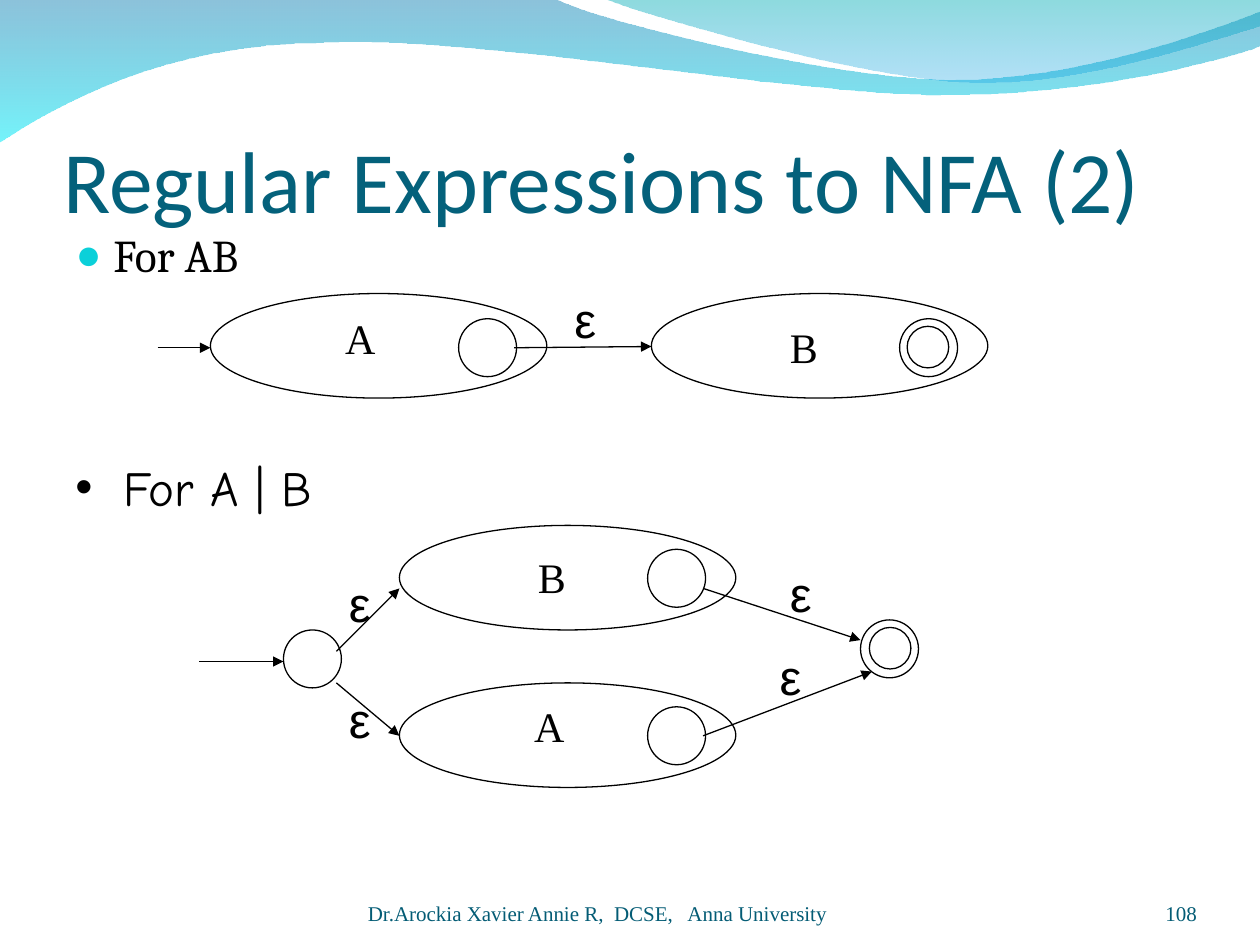
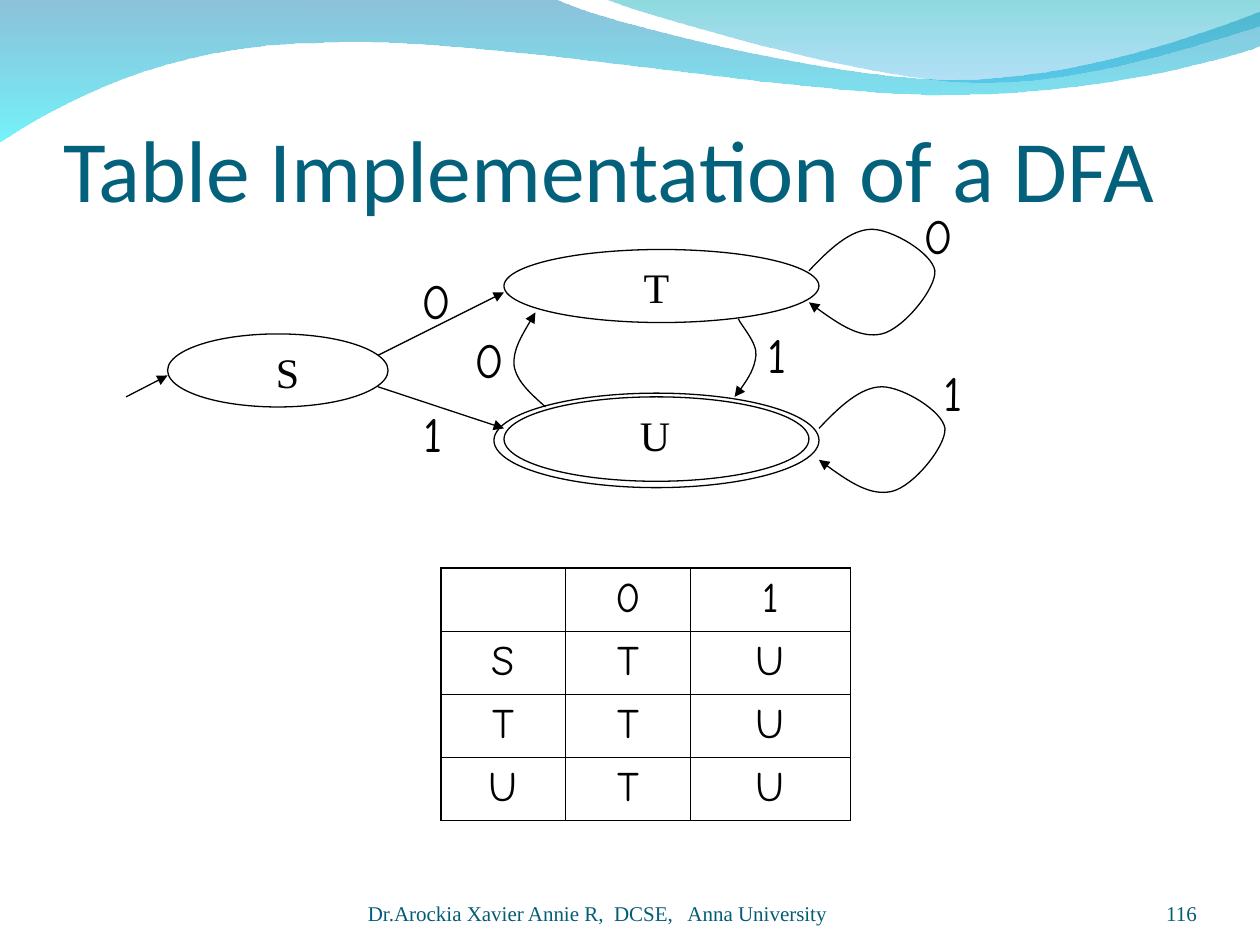
from lxml import etree
from pptx import Presentation
from pptx.dml.color import RGBColor
from pptx.enum.shapes import MSO_CONNECTOR, MSO_SHAPE
from pptx.enum.text import MSO_ANCHOR, MSO_AUTO_SIZE, PP_ALIGN
from pptx.oxml.ns import qn
from pptx.util import Pt

PX = 9144  # 100 px to the inch
OVAL, STRAIGHT = MSO_SHAPE.OVAL, MSO_CONNECTOR.STRAIGHT
TOP, BOTTOM = MSO_ANCHOR.TOP, MSO_ANCHOR.BOTTOM
LEFT, CENTER, RIGHT = PP_ALIGN.LEFT, PP_ALIGN.CENTER, PP_ALIGN.RIGHT
NO_FIT, GROW = MSO_AUTO_SIZE.NONE, MSO_AUTO_SIZE.SHAPE_TO_FIT_TEXT

BLACK = RGBColor(0x00, 0x00, 0x00)
TITLE_BLUE = RGBColor(0x04, 0x61, 0x7B)
FOOTER_BLUE = RGBColor(0x04, 0x5C, 0x75)
BULLET_CYAN = RGBColor(0x0B, 0xD0, 0xD9)
WAVE_TOP = RGBColor(0x00, 0x79, 0xAF)
WAVE_BOTTOM = RGBColor(0x00, 0xEB, 0xF8)
CREST_TOP = RGBColor(0x00, 0xAD, 0xB6)
CREST_BOTTOM = RGBColor(0x00, 0x9B, 0xE5)

SERIF, HAND = "Times New Roman", "Comic Neue"
FOOTER = "Dr.Arockia Xavier Annie R,  DCSE,   Anna University"

# An outline is a start point, then segments: one point is a line, three a curve.
# Each gradient stop is a colour and its opacity in percent.
WAVES = [
    ((0, -1), [[(440, -1)],
               [(476, 17), (664, 63), (758, 63)],
               [(853, 63), (958, 26), (1000, 9)],
               [(1001, 36)],
               [(983, 44), (870, 76), (746, 75)],
               [(622, 75), (382, 28), (257, 34)],
               [(129, 35), (46, 83), (-1, 113)]],
     [(WAVE_TOP, 45), (WAVE_BOTTOM, 55)]),
    ((479, -1), [[(509, 11), (682, 62), (769, 65)],
                 [(856, 69), (961, 32), (1000, 21)],
                 [(1000, 0)]],
     [(CREST_TOP, 45), (CREST_BOTTOM, 30)]),
]

STATE, FINAL = 46, 33  # diameters of a state circle and its inner ring
MACHINE = (267, 83)
LABEL_HEIGHT = {24: 50, 28: 57}

# Diagrams: ovals (x, y, w, h), labels (text, x, y, w), arrows (x1, y1, x2, y2)
CONCATENATION = {
    "ovals": [(167, 233, *MACHINE), (364, 253, STATE, STATE), (517, 233, *MACHINE),
              (720, 259, FINAL, FINAL), (714, 253, STATE, STATE)],
    "names": [("A", 264, 243, 44), ("B", 617, 250, 42)],
    "inputs": [("ε", 446, 225, 37)],
    "arrows": [(125, 276, 167, 276), (408, 276, 517, 275)],
    "font": "Arial",
}
ALTERNATION = {
    "ovals": [(317, 542, *MACHINE), (514, 561, STATE, STATE), (317, 417, *MACHINE),
              (514, 436, STATE, STATE), (225, 500, STATE, STATE),
              (690, 498, FINAL, FINAL), (683, 492, STATE, STATE)],
    "names": [("A", 414, 551, 44), ("B", 417, 433, 42)],
    "inputs": [("ε", x, y, 37) for x, y in [(609, 508), (267, 450), (267, 542), (617, 442)]],
    "arrows": [(267, 542, 317, 584), (558, 584, 692, 533), (267, 517, 317, 467),
               (158, 525, 225, 525), (558, 467, 683, 508)],
    "font": "Arial",
}
DFA = {
    "ovals": [(133, 265, 175, 58), (400, 198, 250, 58),
              (400, 315, 242, 67), (392, 312, 258, 75)],
    "names": [("S", 209, 270, 38), ("T", 501, 203, 40), ("U", 498, 320, 44)],
    "inputs": [("0", 325, 210, 43), ("1", 326, 315, 35), ("0", 723, 158, 43),
               ("1", 739, 283, 35), ("0", 367, 257, 43), ("1", 599, 253, 35)],
    "arrows": [(100, 315, 133, 298), (300, 282, 400, 232), (300, 307, 400, 340)],
    "font": HAND,
}
LOOP = [[(16, -17), (33, -33), (50, -33)],
        [(66, -33), (98, -14), (100, 0)],
        [(101, 14), (75, 46), (58, 50)],
        [(41, 54), (20, 40), (0, 25)]]
LOOP_STARTS = [(642, 215), (650, 340)]
U_TO_T = ((433, 323), [[(422, 313), (410, 303), (408, 290)],
                       [(407, 278), (416, 263), (425, 248)]])
T_TO_U = ((586, 253), [[(588, 258), (601, 272), (600, 282)],
                       [(599, 292), (592, 304), (583, 315)]])

TRANSITIONS = [["", "0", "1"],
               ["S", "T", "U"],
               ["T", "T", "U"],
               ["U", "T", "U"]]
COLUMN_WIDTHS, ROW_HEIGHT = [99, 99, 127], 50
TABLE_AT = (350, 451)


def place(sp, x, y, w, h):
    sp.left, sp.top, sp.width, sp.height = (v * PX for v in (x, y, w, h))


def write(tf, text, size, font, color=BLACK, align=LEFT, anchor=TOP,
          insets=(10, 5, 10, 5), wrap=True, fit=NO_FIT, bullet=None):
    tf.word_wrap, tf.auto_size, tf.vertical_anchor = wrap, fit, anchor
    tf.margin_left, tf.margin_top, tf.margin_right, tf.margin_bottom = (v * PX for v in insets)
    format_text(tf.paragraphs[0], text, size, font, color, align, bullet)


def format_text(p, text, size, font, color=BLACK, align=LEFT, bullet=None):
    if bullet:
        add_bullet(p, *bullet)
    p.alignment, p.space_before = align, Pt(0)
    r = p.add_run()
    r.text = text
    r.font.size, r.font.name = Pt(size), font
    r.font.color.rgb = color


def add_bullet(p, char, color, percent, indent):
    pPr = p._p.get_or_add_pPr()
    pPr.set("marL", str(indent * PX))
    pPr.set("indent", str(-indent * PX))
    clr = etree.SubElement(pPr, qn("a:buClr"))
    etree.SubElement(clr, qn("a:srgbClr"), val=str(color))
    etree.SubElement(pPr, qn("a:buSzPct"), val=str(percent * 1000))
    etree.SubElement(pPr, qn("a:buFont"), typeface="Arial")
    etree.SubElement(pPr, qn("a:buChar"), char=char)


def add_text(shapes, box, text, size, font, **fmt):
    sp = shapes.add_textbox(*(v * PX for v in box))
    write(sp.text_frame, text, size, font, **fmt)


def draw_line(sp, arrow=False):
    sp.line.color.rgb, sp.line.width = BLACK, Pt(0.75)
    if arrow:
        etree.SubElement(sp.line._get_or_add_ln(), qn("a:tailEnd"), type="triangle")


def add_outline(shapes, start, segments, close=False):
    points = [pt for seg in segments for pt in seg]
    builder = shapes.build_freeform(*start, scale=PX)
    sp = builder.add_line_segments(points, close=close).convert_to_shape()
    sp.shadow.inherit = False
    path = sp.element.find(".//" + qn("a:path"))
    lines = iter(path.findall(qn("a:lnTo")))
    for seg in segments:
        first, *rest = [next(lines) for _ in seg]
        if rest:
            first.tag = qn("a:cubicBezTo")
        for line in rest:
            first.append(line[0])
            path.remove(line)
    return sp


def add_curved_arrow(shapes, start, segments):
    sp = add_outline(shapes, start, segments)
    sp.fill.background()
    draw_line(sp, arrow=True)


def add_waves(prs, slide):
    """Draw the header waves and move them to the master, so every slide has them."""
    for i, (start, segments, stops) in enumerate(WAVES):
        sp = add_outline(slide.shapes, start, segments, close=True)
        sp.line.fill.background()
        sp.fill.gradient()
        sp.fill.gradient_angle = 270
        for stop, (color, opacity) in zip(sp.fill.gradient_stops, stops):
            stop.color.rgb = color
            srgb = stop._gs.find(qn("a:srgbClr"))
            etree.SubElement(srgb, qn("a:alpha"), val=str(opacity * 1000))
        sp.element.nvSpPr.cNvPr.set("id", str(100 + i))
        prs.slide_master.shapes._spTree.insert(2 + i, sp.element)


def add_diagram(shapes, diagram):
    for box in diagram["ovals"]:
        sp = shapes.add_shape(OVAL, *(v * PX for v in box))
        sp.shadow.inherit = False
        sp.fill.background()
        draw_line(sp)
    for ends in diagram["arrows"]:
        cxn = shapes.add_connector(STRAIGHT, *(v * PX for v in ends))
        draw_line(cxn, arrow=True)
        etree.SubElement(cxn.element.spPr, qn("a:effectLst"))
    for key, size, font in [("names", 24, SERIF), ("inputs", 28, diagram["font"])]:
        for text, x, y, w in diagram[key]:
            add_text(shapes, (x, y, w, LABEL_HEIGHT[size]), text, size, font,
                     wrap=False, fit=GROW)


def add_transition_table(shapes):
    rows, cols = len(TRANSITIONS), len(COLUMN_WIDTHS)
    box = (*TABLE_AT, sum(COLUMN_WIDTHS), rows * ROW_HEIGHT)
    table = shapes.add_table(rows, cols, *(v * PX for v in box)).table
    table.first_row = table.horz_banding = False
    for column, width in zip(table.columns, COLUMN_WIDTHS):
        column.width = width * PX
    for i, row in enumerate(TRANSITIONS):
        for j, text in enumerate(row):
            cell = table.cell(i, j)
            cell.fill.background()
            if text:
                format_text(cell.text_frame.paragraphs[0], text, 24, HAND, align=CENTER)
            set_borders(cell, L=j == 0, R=j == cols - 1, T=i == 0, B=i == rows - 1)


def set_borders(cell, **is_outer):
    tcPr = cell._tc.get_or_add_tcPr()
    for n, (side, outer) in enumerate(is_outer.items()):
        ln = etree.Element(qn("a:ln" + side), w=str(Pt(1.08 if outer else 0.45)))
        fill = etree.SubElement(ln, qn("a:solidFill"))
        etree.SubElement(fill, qn("a:srgbClr"), val=str(BLACK))
        tcPr.insert(n, ln)


def add_slide(prs, layout, title, title_top, number):
    slide = prs.slides.add_slide(prs.slide_layouts[layout])
    place(slide.shapes.title, 50, title_top, 900, 125)
    write(slide.shapes.title.text_frame, title, 50, "Calibri", color=TITLE_BLUE,
          anchor=BOTTOM, insets=(0, 5, 0, 0))
    for box, text, align in [((292, 695, 367, 40), FOOTER, LEFT),
                             ((867, 695, 83, 40), number, RIGHT)]:
        add_text(slide.shapes, box, text, 12, SERIF, color=FOOTER_BLUE,
                 align=align, anchor=BOTTOM, insets=(0, 0, 0, 0))
    return slide


def main():
    prs = Presentation()
    prs.slide_width, prs.slide_height = 1000 * PX, 750 * PX

    nfa = add_slide(prs, 1, "Regular Expressions to NFA (2)", 58, "108")
    add_waves(prs, nfa)
    body = nfa.placeholders[1]
    place(body, 50, 175, 908, 58)
    write(body.text_frame, "For AB", 26, "Cambria", bullet=("●", BULLET_CYAN, 95, 30))
    add_text(nfa.shapes, (50, 358, 908, 58), "For A | B", 28, HAND,
             bullet=("•", BLACK, 100, 38))
    for diagram in (CONCATENATION, ALTERNATION):
        add_diagram(nfa.shapes.add_group_shape().shapes, diagram)

    dfa = add_slide(prs, 5, "Table Implementation of a DFA", 50, "116")
    add_diagram(dfa.shapes, DFA)
    loops = [((x, y), [[(x + dx, y + dy) for dx, dy in seg] for seg in LOOP])
             for x, y in LOOP_STARTS]
    for start, segments in [*loops, U_TO_T, T_TO_U]:
        add_curved_arrow(dfa.shapes, start, segments)
    add_transition_table(dfa.shapes)

    prs.save("out.pptx")


if __name__ == "__main__":
    main()
